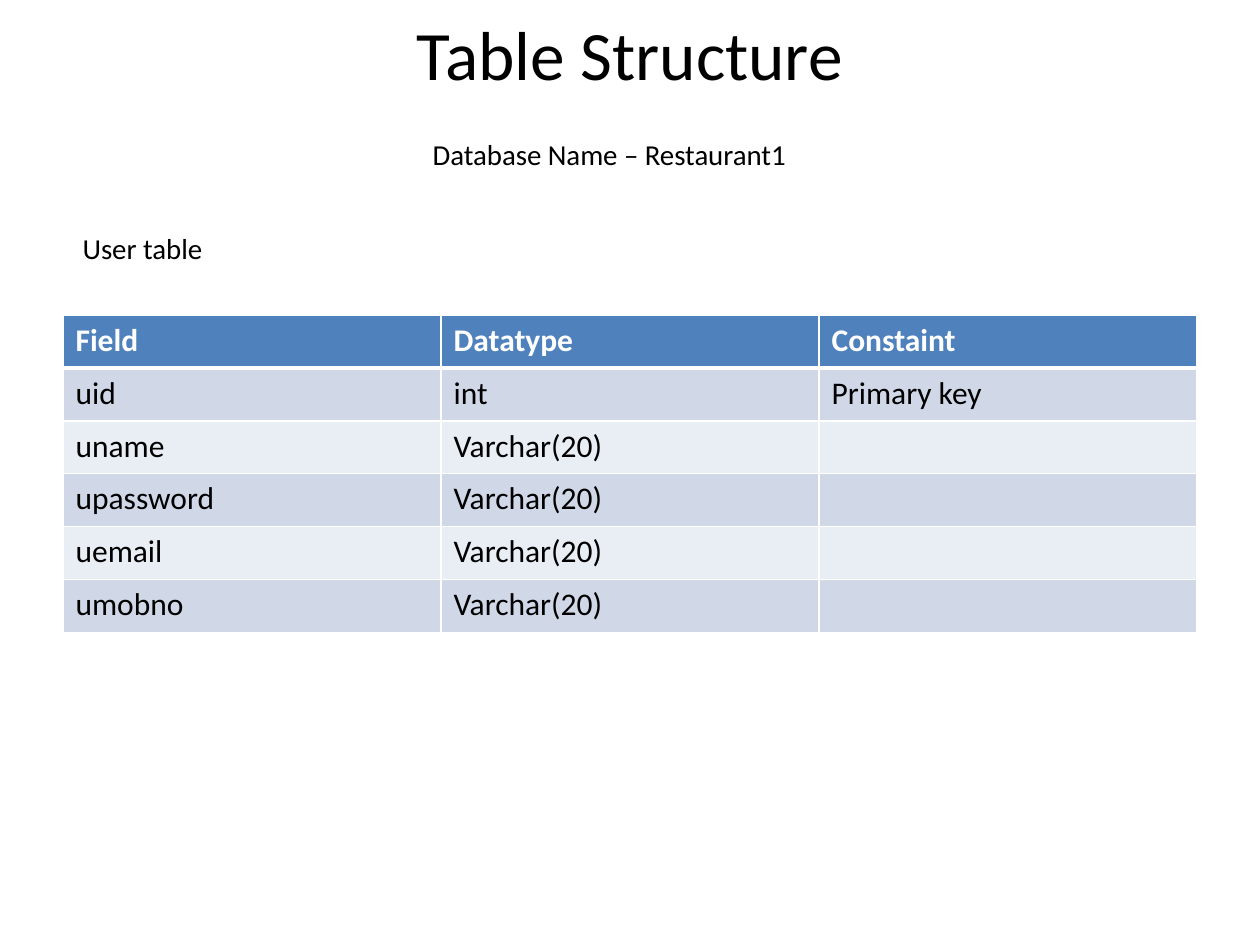
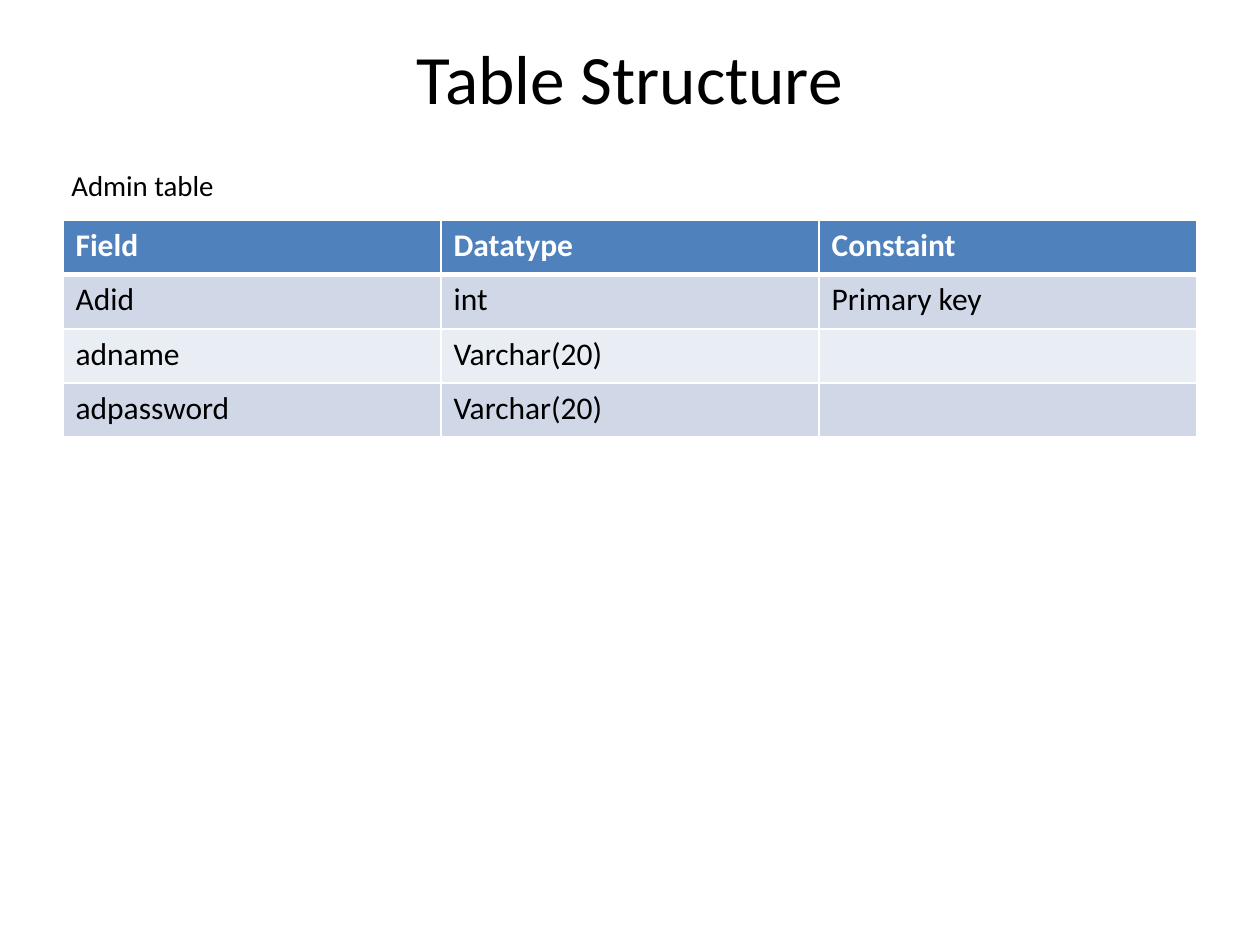
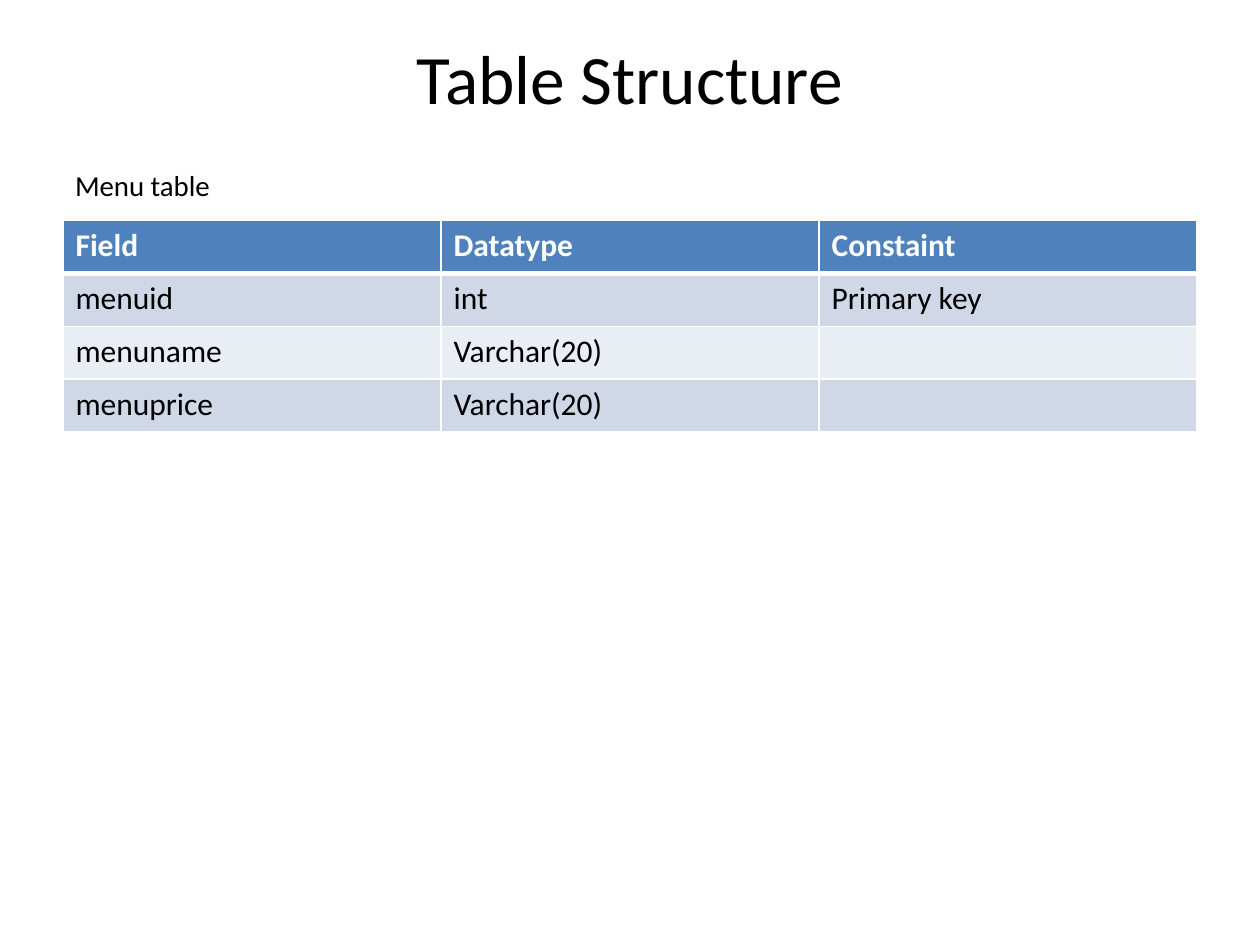
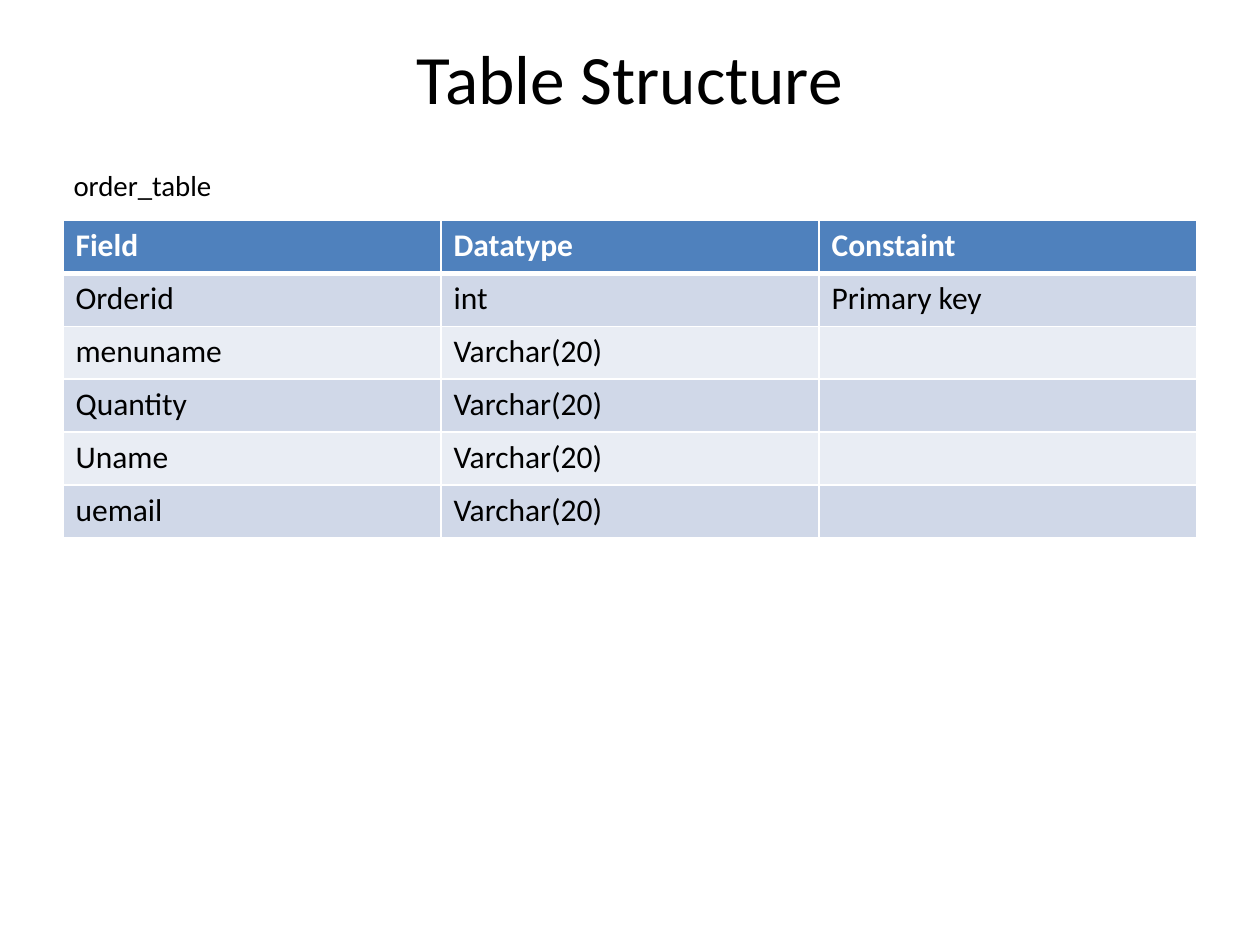
from lxml.etree import SubElement
from pptx import Presentation
from pptx.dml.color import RGBColor
from pptx.enum.text import MSO_ANCHOR as ANCHOR, PP_ALIGN as ALIGN
from pptx.oxml.ns import qn
from pptx.util import Inches, Pt

FONT = "Calibri"
COLORS = {
    "text": "000000",
    "white": "FFFFFF",
    "header": "4F81BD",
    "odd": "D0D8E8",
    "even": "E9EDF4",
}
HEADINGS = ("Field", "Datatype", "Constaint")
COLUMN_WIDTH = 3
KEY = ("int", "Primary key")
VARCHAR = ("Varchar(20)", "")


def style_font(p, size, color="text", bold=False):
    """Set the font of a whole paragraph."""
    p.font.name = FONT
    p.font.size = Pt(size)
    p.font.bold = bold
    p.font.color.rgb = RGBColor.from_string(COLORS[color])


def add_text(s, text, box, size, spacing=1.0):
    """Add a centred line of text in a box given in inches."""
    tf = s.shapes.add_textbox(*map(Inches, box)).text_frame
    tf.word_wrap = True
    tf.vertical_anchor = ANCHOR.MIDDLE
    p = tf.paragraphs[0]
    p.text = text
    p.alignment = ALIGN.CENTER
    p.line_spacing = spacing
    style_font(p, size)


def add_title(s, top):
    """Add the shared slide title."""
    add_text(s, "Table Structure", (0.5, top, 9, 0.62), 39.6)


def add_label(s, text, left, top, width, height):
    """Add a caption line."""
    add_text(s, text, (left, top, width, height), 16.5, 0.8)


def set_borders(cell, top, bottom):
    """Draw white borders with the given top and bottom widths in points."""
    tcPr = cell._tc.get_or_add_tcPr()
    for tag, width in (("lnL", 1), ("lnR", 1), ("lnT", top), ("lnB", bottom)):
        ln = SubElement(tcPr, qn(f"a:{tag}"), w=str(Pt(width)))
        fill = SubElement(ln, qn("a:solidFill"))
        SubElement(fill, qn("a:srgbClr"), val=COLORS["white"])


def style_cell(cell, text, row):
    """Write and colour one cell according to its row."""
    header = row == 0
    set_borders(cell, 3 if row == 1 else 1, 3 if header else 1)
    band = "header" if header else "odd" if row % 2 else "even"
    cell.fill.solid()
    cell.fill.fore_color.rgb = RGBColor.from_string(COLORS[band])
    p = cell.text_frame.paragraphs[0]
    p.text = text
    style_font(p, 18, "white" if header else "text", header)


def add_fields_table(s, fields, top, row_height):
    """Add a field table whose first field is the primary key."""
    rows = [HEADINGS, (fields[0], *KEY)]
    rows += [(field, *VARCHAR) for field in fields[1:]]
    width, height = len(HEADINGS) * COLUMN_WIDTH, len(rows) * row_height
    table = s.shapes.add_table(
        len(rows), len(HEADINGS),
        Inches(0.5), Inches(top), Inches(width), Inches(height),
    ).table
    for i, row in enumerate(rows):
        for j, text in enumerate(row):
            style_cell(table.cell(i, j), text, i)


def add_table_slide(prs, name, fields, title_top=0.3, label_top=1.33,
                    table_top=1.75, row_height=0.417):
    """Add a slide that describes one database table."""
    s = prs.slides.add_slide(prs.slide_layouts[6])
    add_title(s, title_top)
    add_fields_table(s, fields, table_top, round(row_height, 2))
    add_label(s, name, -0.33, label_top, 2.92, 0.33)
    return s


def main():
    """Build the presentation."""
    prs = Presentation()
    prs.slide_width, prs.slide_height = Inches(10), Inches(7.5)
    s = add_table_slide(
        prs, "User table", ("uid", "uname", "upassword", "uemail", "umobno"),
        title_top=0.11, label_top=1.83, table_top=2.5)
    add_label(s, "Database Name – Restaurant1", 3.25, 1, 3.17, 0.5)
    add_table_slide(prs, "Admin table", ("Adid", "adname", "adpassword"),
                    row_height=0.43)
    add_table_slide(prs, "Menu table", ("menuid", "menuname", "menuprice"))
    add_table_slide(prs, "order_table",
                    ("Orderid", "menuname", "Quantity", "Uname", "uemail"))
    prs.save("out.pptx")


if __name__ == "__main__":
    main()
